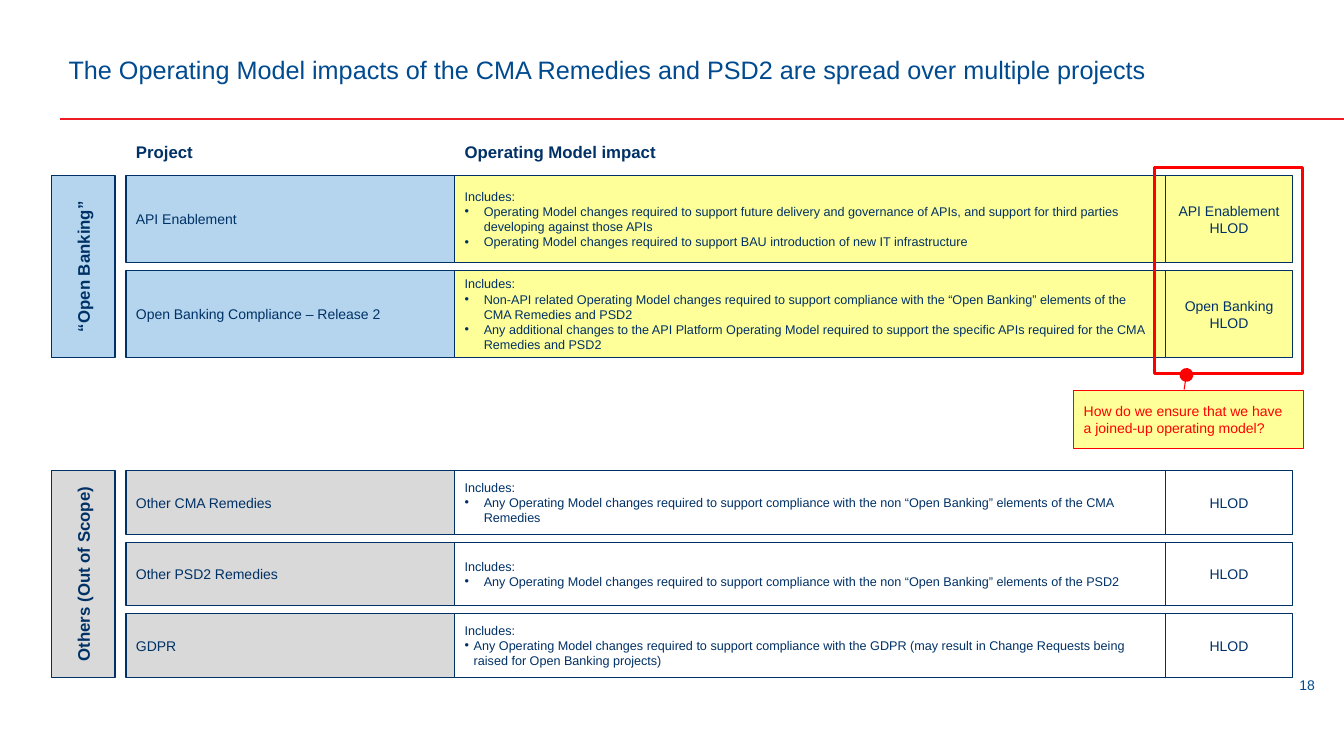
from dataclasses import dataclass

from lxml.etree import SubElement
from pptx import Presentation
from pptx.dml.color import RGBColor
from pptx.enum.shapes import MSO_CONNECTOR as Connector, MSO_SHAPE as Shape
from pptx.enum.text import MSO_ANCHOR as Anchor, MSO_AUTO_SIZE as AutoSize, PP_ALIGN as Align
from pptx.oxml.ns import qn
from pptx.util import Inches, Pt


@dataclass(frozen=True)
class Theme:
    font: str = "Arial"
    title_ink: str = "004A8F"
    ink: str = "003166"
    alert: str = "FF0000"
    rule: str = "ED1C24"
    blue: str = "B4D5ED"
    grey: str = "D9D9D9"
    yellow: str = "FFFF99"
    white: str = "FFFFFF"
    title: float = 18
    heading: float = 12
    body: float = 10
    detail: float = 9


@dataclass(frozen=True)
class Box:
    left: float
    top: float
    width: float
    height: float

    @property
    def inches(self):
        return [Inches(n) for n in (self.left, self.top, self.width, self.height)]

    def columns(self, weights):
        """Split the width in proportion to the weights."""
        unit, left, parts = self.width / sum(weights), self.left, []
        for weight in weights:
            parts.append(Box(left, self.top, weight * unit, self.height))
            left += weight * unit
        return parts

    def rows(self, count, gap):
        """Split the height into equal rows with a gap between them."""
        height = (self.height - gap * (count - 1)) / count
        return [Box(self.left, self.top + i * (height + gap), self.width, height)
                for i in range(count)]


@dataclass(frozen=True)
class Project:
    name: str
    impacts: tuple
    document: str = "HLOD"
    indent: float = 0.19


@dataclass(frozen=True)
class Group:
    label: str
    box: Box
    label_fill: str
    impact_fill: str
    projects: tuple


THEME = Theme()
SLIDE = Box(0, 0, 13.33, 7.5)
COLUMNS = (0.63, 0.11, 3.26, 7.05, 1.26)  # label, gap, project, impact, document
ROW_GAP = 0.08
HEADINGS = Box(0.51, 1.35, 12.31, 0.31)

OPEN_BANKING = Group("“Open Banking”", Box(0.51, 1.74, 12.31, 1.81), THEME.blue, THEME.yellow, (
    Project("API Enablement", (
        "Operating Model changes required to support future delivery and governance of APIs, "
        "and support for third parties developing against those APIs",
        "Operating Model changes required to support BAU introduction of new IT infrastructure",
    ), "API Enablement HLOD"),
    Project("Open Banking Compliance – Release 2", (
        "Non-API related Operating Model changes required to support compliance with the "
        "“Open Banking” elements of the CMA Remedies and PSD2",
        "Any additional changes to the API Platform Operating Model required to support the "
        "specific APIs required for the CMA Remedies and PSD2",
    ), "Open Banking HLOD"),
))
OTHERS = Group("Others (Out of Scope)", Box(0.51, 4.67, 12.31, 2.05), THEME.grey, THEME.white, (
    Project("Other CMA Remedies", (
        "Any Operating Model changes required to support compliance with the non "
        "“Open Banking” elements of the CMA Remedies",
    )),
    Project("Other PSD2 Remedies", (
        "Any Operating Model changes required to support compliance with the non "
        "“Open Banking” elements of the PSD2",
    )),
    Project("GDPR", (
        "Any Operating Model changes required to support compliance with the GDPR (may result "
        "in Change Requests being raised for Open Banking projects)",
    ), indent=0.09),
))


def write(shape, lines, size, ink=THEME.ink, bold=False, align=Align.LEFT):
    frame = shape.text_frame
    settings = {"word_wrap": True, "auto_size": AutoSize.NONE, "vertical_anchor": Anchor.MIDDLE}
    for name, value in settings.items():
        setattr(frame, name, value)
    for index, line in enumerate(lines):
        para = frame.paragraphs[0] if index == 0 else frame.add_paragraph()
        para.alignment = align
        span = para.add_run()
        span.text = line
        for name, value in {"name": THEME.font, "size": Pt(size), "bold": bold}.items():
            setattr(span.font, name, value)
        span.font.color.rgb = RGBColor.from_string(ink)


def add_bullet(para, indent):
    props = para._p.get_or_add_pPr()
    props.set("marL", str(Inches(indent)))
    props.set("indent", str(-Inches(indent)))
    SubElement(props, qn("a:buFont"), typeface=THEME.font)
    SubElement(props, qn("a:buChar"), char="•")


def add_text(slide, box, text, size, **style):
    write(slide.shapes.add_textbox(*box.inches), [text], size, **style)


def add_panel(slide, box, fill=None, line=THEME.ink, weight=0.75, kind=Shape.RECTANGLE):
    panel = slide.shapes.add_shape(kind, *box.inches)
    panel.shadow.inherit = False
    if fill:
        panel.fill.solid()
        panel.fill.fore_color.rgb = RGBColor.from_string(fill)
    else:
        panel.fill.background()
    panel.line.color.rgb = RGBColor.from_string(line)
    panel.line.width = Pt(weight)
    return panel


def add_title(slide, box, text):
    title = slide.shapes.title
    for name, value in zip(("left", "top", "width", "height"), box.inches):
        setattr(title, name, value)
    write(title, [text], THEME.title, THEME.title_ink)
    title.text_frame.margin_left = title.text_frame.margin_right = Inches(0.12)
    start, bottom = Inches(box.left + 0.04), Inches(box.top + box.height + 0.01)
    rule = slide.shapes.add_connector(
        Connector.STRAIGHT, start, bottom, Inches(SLIDE.width), bottom)
    rule.line.color.rgb = RGBColor.from_string(THEME.rule)
    rule.line.width = Pt(2)
    SubElement(rule._element.spPr, qn("a:effectLst"))


def add_headings(slide, box):
    _, _, project, impact, _ = box.columns(COLUMNS)
    for part, text in ((project, "Project"), (impact, "Operating Model impact")):
        add_text(slide, part, text, THEME.heading, bold=True)


def add_project(slide, box, project, group):
    _, _, name, impact, document = box.columns(COLUMNS)
    write(add_panel(slide, name, group.label_fill), [project.name], THEME.body)
    panel = add_panel(slide, impact, group.impact_fill)
    write(panel, ("Includes:", *project.impacts), THEME.detail)
    for para in panel.text_frame.paragraphs[1:]:
        add_bullet(para, project.indent)
    write(add_panel(slide, document, group.impact_fill), [project.document],
          THEME.body, align=Align.CENTER)


def add_group(slide, group):
    label = add_panel(slide, group.box.columns(COLUMNS)[0], group.label_fill, weight=1)
    write(label, [group.label], THEME.heading, bold=True, align=Align.CENTER)
    label.text_frame._txBody.bodyPr.set("vert", "vert270")
    for row, project in zip(group.box.rows(len(group.projects), ROW_GAP), group.projects):
        add_project(slide, row, project, group)


def add_question(slide, box, text):
    """Frame the document column of the box and hang a callout below it."""
    column = box.columns(COLUMNS)[-1]
    callout_box = Box(column.left - 0.91, box.top + box.height + 0.32, 2.28, 0.58)
    callout = add_panel(slide, callout_box, THEME.yellow, THEME.alert,
                        kind=Shape.LINE_CALLOUT_1)
    for index, share in enumerate((-0.01, 0.48, -0.26, 0.49)):
        callout.adjustments[index] = share
    outline = callout.line._get_or_add_ln()
    SubElement(outline, qn("a:tailEnd"), type="oval", w="lg", len="lg")
    write(callout, [text], THEME.body, THEME.alert)
    frame = Box(column.left - 0.11, box.top - 0.08, column.width + 0.21, box.height + 0.24)
    add_panel(slide, frame, line=THEME.alert, weight=2.25)


def main():
    deck = Presentation()
    deck.slide_width, deck.slide_height = SLIDE.inches[2:]
    slide = deck.slides.add_slide(deck.slide_layouts.get_by_name("Title Only"))
    add_title(slide, Box(0.56, 0.21, 12.11, 0.96),
              "The Operating Model impacts of the CMA Remedies and PSD2 "
              "are spread over multiple projects")
    add_headings(slide, HEADINGS)
    for group in (OPEN_BANKING, OTHERS):
        add_group(slide, group)
    add_question(slide, OPEN_BANKING.box,
                 "How do we ensure that we have a joined-up operating model?")
    add_text(slide, Box(12.7, 6.51, 0.53, 0.57), "18", THEME.body,
             ink=THEME.title_ink, align=Align.CENTER)
    deck.save("out.pptx")


if __name__ == "__main__":
    main()
